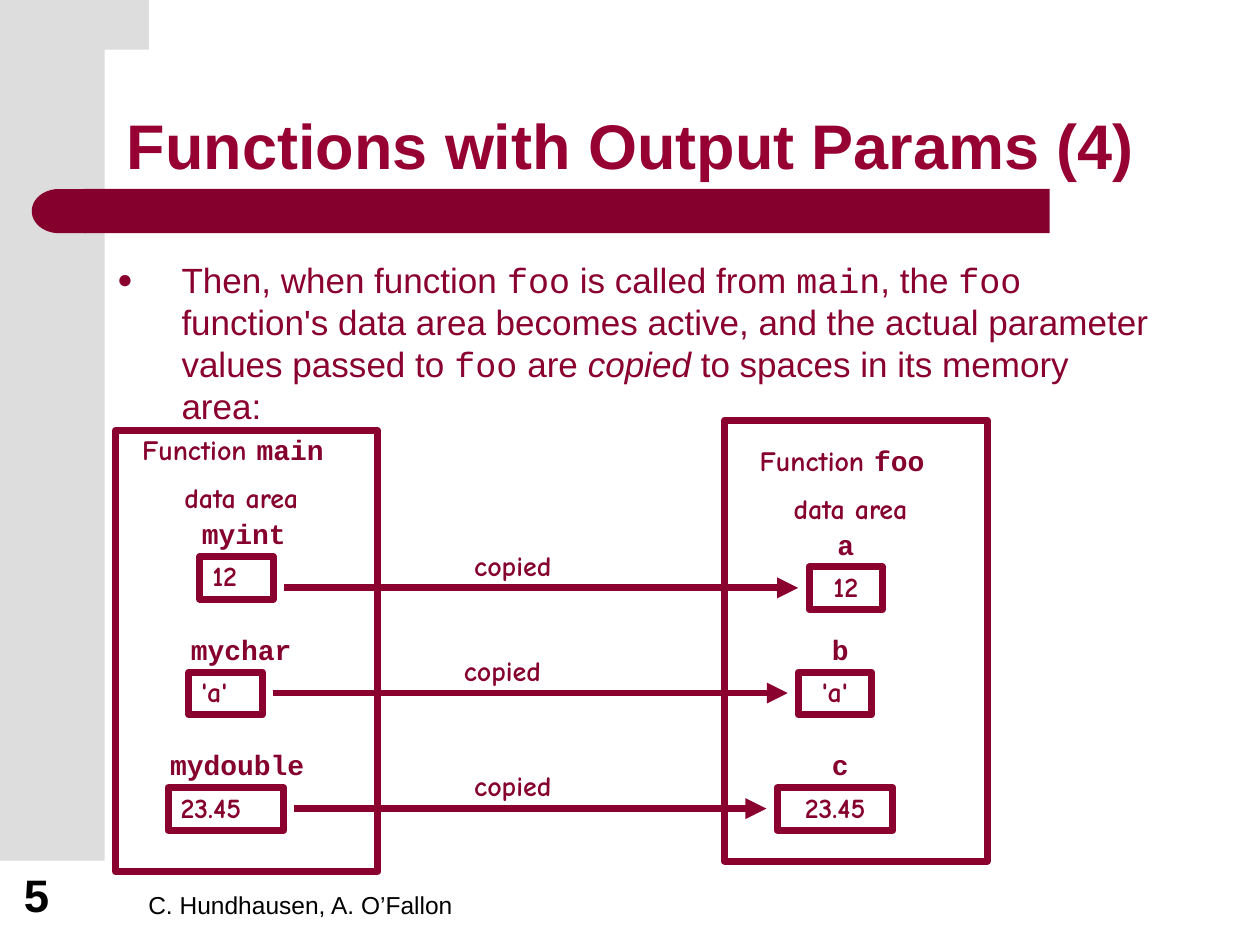
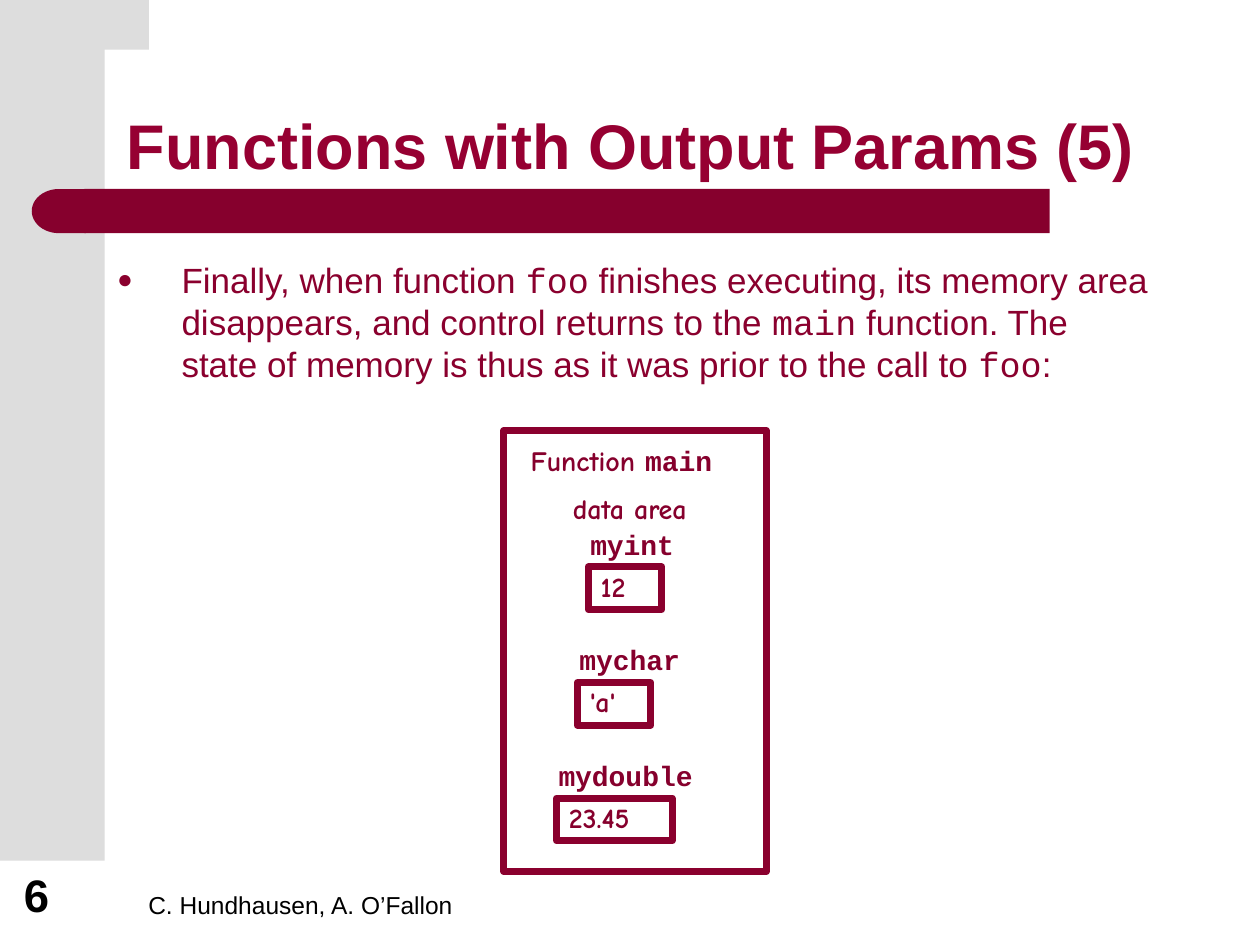
import math
import pptx
import pptx.util
import pptx.dml.color
import pptx.enum.shapes
import pptx.enum.text
import pptx.oxml
import pptx.oxml.ns
from lxml import etree

Cm = pptx.util.Cm
Pt = pptx.util.Pt
Kind = pptx.enum.shapes.MSO_SHAPE
Align = pptx.enum.text.PP_ALIGN
Anchor = pptx.enum.text.MSO_ANCHOR

GREY, WINE, RED, TITLE, BLACK = "DDDDDD", "86002D", "8A002E", "960032", "000000"
SANS, HAND, CODE = "Arial", "Comic Neue", "Courier New"
STROKE = 4
GAP = 0.21
FRAME = (5.29, 8.89)
CELL = 0.86


def tint(code):
    return pptx.dml.color.RGBColor.from_string(code)


def paint(shape, fill=None, line=None):
    shape.shadow.inherit = False
    if fill:
        shape.fill.solid()
        shape.fill.fore_color.rgb = tint(fill)
    else:
        shape.fill.background()
    if line:
        shape.line.color.rgb = tint(line)
        shape.line.width = Pt(STROKE)
    else:
        shape.line.fill.background()
    return shape


def block(slide, kind, box, **style):
    shape = slide.shapes.add_shape(kind, *map(Cm, box))
    return paint(shape, **style)


def dot(para):
    props = para._p.get_or_add_pPr()
    props.set("marL", str(Cm(1.3)))
    props.set("indent", str(-Cm(1.3)))
    for tag, child, value in (("buClr", "srgbClr", RED), ("buSzPct", None, "75000"),
                              ("buFont", None, SANS), ("buChar", None, "●")):
        node = etree.SubElement(props, pptx.oxml.ns.qn("a:" + tag))
        if child:
            node = etree.SubElement(node, pptx.oxml.ns.qn("a:" + child))
        key = {"buFont": "typeface", "buChar": "char"}.get(tag, "val")
        node.set(key, value)


def write(shape, *paras, size=16, font=HAND, color=WINE, bold=True, align=Align.LEFT,
          anchor=Anchor.TOP, space=0.9, bullet=False):
    frame = shape.text_frame
    frame.word_wrap = True
    frame.vertical_anchor = anchor
    for i, runs in enumerate(paras):
        para = frame.add_paragraph() if i else frame.paragraphs[0]
        if bullet:
            dot(para)
        para.alignment = align
        para.line_spacing = space
        para.space_before = Pt(10 if i else 0)
        for part in [runs] if isinstance(runs, str) else runs:
            words, face, slant = part if isinstance(part, tuple) else (part, font, False)
            run = para.add_run()
            run.text = words
            run.font.name = face
            run.font.size = Pt(size)
            run.font.bold = bold
            run.font.italic = slant
            run.font.color.rgb = tint(color)


def label(slide, box, *paras, **style):
    write(slide.shapes.add_textbox(*map(Cm, box)), *paras, **style)


def code(words):
    return words, CODE, False


def corner(slide):
    arc = [(2.95 - 0.84 * math.sin(t), 1.25 - 0.82 * math.cos(t))
           for t in (math.pi / 2 * i / 16 for i in range(17))]
    points = [(8.89, 0), (8.89, 0.43), *arc, (2.11, 1.55), (1.27, 1.55), (1.27, 0)]
    pen = slide.shapes.build_freeform(*points[0], scale=Cm(1))
    pen.add_line_segments(points[1:], close=True)
    paint(pen.convert_to_shape(), fill=GREY)


def base(deck, title, number, body):
    slide = deck.slides.add_slide(deck.slide_layouts[6])
    block(slide, Kind.RECTANGLE, (0, 0, 2.11, 17.35), fill=GREY)
    corner(slide)
    block(slide, Kind.RECTANGLE, (1.7, 3.81, 19.46, 0.89), fill=WINE)
    cap = block(slide, Kind.FLOWCHART_DELAY, (0.64, 3.81, 1.09, 0.89), fill=WINE)
    cap.rotation = 180
    foot = dict(font=SANS, color=BLACK, anchor=Anchor.BOTTOM, space=1)
    label(slide, (2.74, 17.35, 9.53, 1.32), "C. Hundhausen, A. O’Fallon",
          size=14, bold=False, **foot)
    label(slide, (0.23, 17.35, 1.63, 1.35), str(number), size=26, **foot)
    label(slide, (2.31, 1.04, 21.62, 2.77), title, size=36, font=SANS, color=TITLE,
          anchor=Anchor.BOTTOM)
    label(slide, (2.11, 5.08, 21.36, 6.3), body, size=20, font=SANS, color=RED,
          bold=False, space=1, bullet=True)
    return slide


def area(slide, left, top, name, drop, rows, tags, align):
    label(slide, (left + GAP, top + drop, 4.65, 1.83),
          ["Function ", code(name + " ")], "data area", align=Align.CENTER)
    block(slide, Kind.RECTANGLE, (left, top, *FRAME), line=RED)
    for (value, inset, width), row, (tag, shift, span) in zip(CELLS, rows, tags):
        x, y = left + inset, top + row
        cell = block(slide, Kind.RECTANGLE, (x, y, width, CELL), line=RED)
        write(cell, value, align=align)
        label(slide, (x + shift, y - 0.85, span, CELL), tag, font=CODE, align=align)


def arrow(slide, start, end, y, mid):
    link = slide.shapes.add_connector(pptx.enum.shapes.MSO_CONNECTOR.STRAIGHT,
                                      Cm(start), Cm(y), Cm(end), Cm(y))
    link.line.color.rgb = tint(RED)
    link.line.width = Pt(STROKE)
    tip = etree.SubElement(link.line._get_or_add_ln(), pptx.oxml.ns.qn("a:tailEnd"))
    tip.set("type", "triangle")
    etree.SubElement(link._element.spPr, pptx.oxml.ns.qn("a:effectLst"))
    label(slide, (mid, y - 0.85, 3.18, CELL), "copied")


CELLS = [("12", 1.7, 1.48), ("'a'", 1.48, 1.48), ("23.45", 1.06, 2.33)]
MAIN = [("myint", -GAP, 2.54), ("mychar", -GAP, 2.96), ("mydouble", -GAP, 3.81)]
FOO = [("a", -GAP, 1.9), ("b", -GAP, 2.12), ("c", GAP, 2.12)]
STEPS = [2.54 + 2.33 * i for i in range(3)]
COPIED = [
    "Then, when function ", code("foo"), " is called from ", code("main"), ", the ",
    code("foo"), " function's data area becomes active, and the actual parameter "
    "values passed to ", code("foo"), " are ", ("copied", SANS, True),
    " to spaces in its memory area:"]
DONE = [
    "Finally, when function ", code("foo"), " finishes executing, its memory area "
    "disappears, and control returns to the ", code("main"), " function. The state of "
    "memory is thus as it was prior to the call to ", code("foo"), ":"]


def main():
    deck = pptx.Presentation()
    deck.slide_width, deck.slide_height = Cm(25.4), Cm(19.05)

    slide = base(deck, "Functions with Output Params (4)", 5, COPIED)
    area(slide, 2.33, 8.68, "main", 0, STEPS, MAIN, Align.LEFT)
    area(slide, 14.61, 8.47, "foo", 2 * GAP, (2.96, 5.08, 7.41), FOO, Align.CENTER)
    for start, end, y, mid in ((5.72, 16.09, 11.85, 9.31), (5.5, 15.88, 13.97, 9.1),
                               (5.93, 15.45, 16.3, 9.31)):
        arrow(slide, start, end, y, mid)

    slide = base(deck, "Functions with Output Params (5)", 6, DONE)
    area(slide, 10.16, 8.68, "main", GAP, [step + GAP for step in STEPS], MAIN, Align.LEFT)

    deck.save("out.pptx")


if __name__ == "__main__":
    main()
